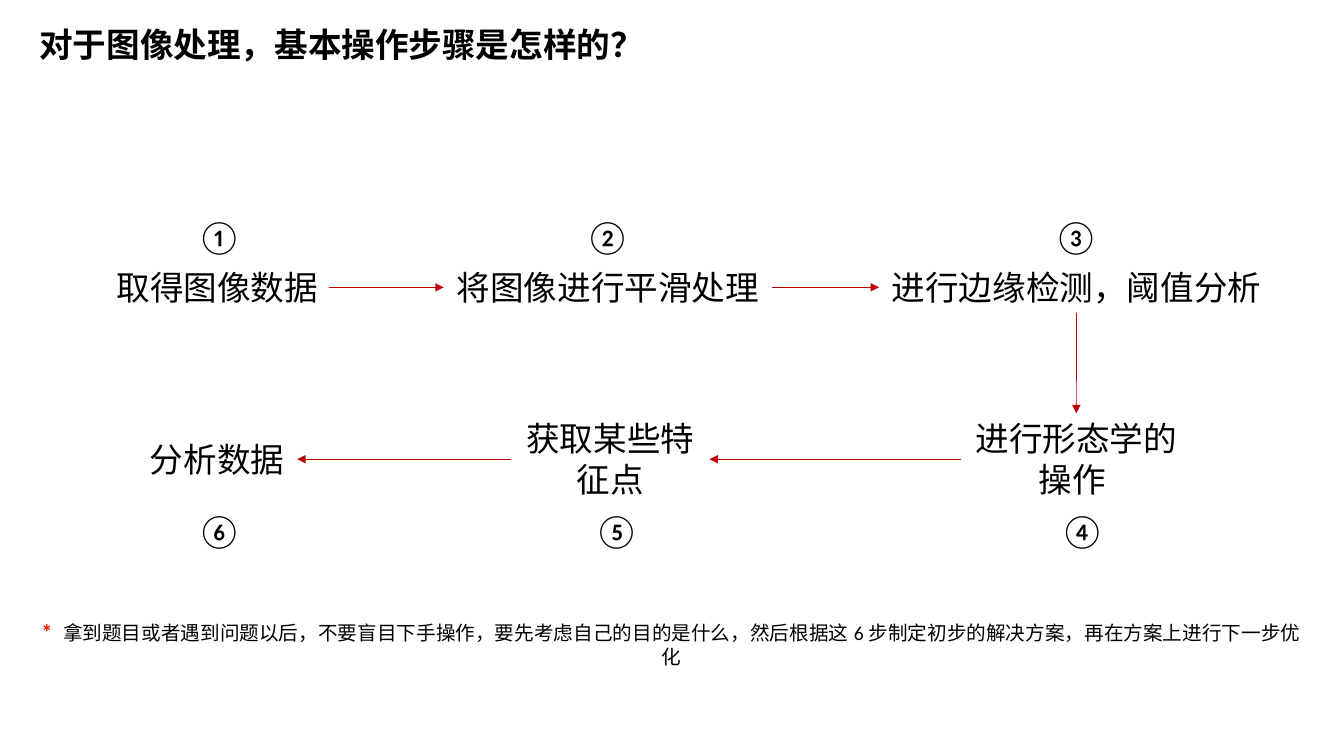
from lxml import etree
from pptx import Presentation
from pptx.dml.color import RGBColor
from pptx.enum.shapes import MSO_CONNECTOR
from pptx.enum.text import MSO_AUTO_SIZE, PP_ALIGN
from pptx.oxml.ns import qn
from pptx.util import Cm, Pt

STRAIGHT = MSO_CONNECTOR.STRAIGHT
GROW = MSO_AUTO_SIZE.SHAPE_TO_FIT_TEXT
LEFT, CENTER = PP_ALIGN.LEFT, PP_ALIGN.CENTER
BOTTOM_SIDE, LEFT_SIDE, RIGHT_SIDE, TOP_SIDE = 2, 1, 3, 0


def rgb(value):
    return RGBColor.from_string(value)


class FlowSlide:
    font, ink, arrow_color = "Calibri", "000000", "C00000"

    def __init__(self, prs):
        self.s = prs.slides.add_slide(prs.slide_layouts[6])

    def style(self, r, size, color=None, bold=False, font=None):
        r.font.size, r.font.bold = Pt(size), bold
        r.font.name = font or self.font
        r.font.color.rgb = rgb(color or self.ink)
        if font:
            ea = etree.SubElement(r.font._element, qn("a:ea"))
            ea.set("typeface", font)

    def text(self, box, runs, align=LEFT):
        """Add a text box; runs is a list of (text, style options)."""
        sp = self.s.shapes.add_textbox(*map(Cm, box))
        tf = sp.text_frame
        tf.word_wrap, tf.auto_size = True, GROW
        p = tf.paragraphs[0]
        p.alignment = align
        for words, options in runs:
            r = p.add_run()
            r.text = words
            self.style(r, **options)
        return sp

    def arrow(self, start, start_side, end, end_side):
        line = self.s.shapes.add_connector(STRAIGHT, 0, 0, 0, 0)
        line.begin_connect(start, start_side)
        line.end_connect(end, end_side)
        line.line.color.rgb = rgb(self.arrow_color)
        line.line.width = Pt(0.5)
        ln = line.line._get_or_add_ln()
        etree.SubElement(ln, qn("a:tailEnd")).set("type", "triangle")
        etree.SubElement(line._element.spPr, qn("a:effectLst"))


TOP_ROW, BOTTOM_ROW = 7.24, 11.57  # vertical centres of the two rows
TOP_NUMBERS, BOTTOM_NUMBERS = 5.31, 12.73
# text, left, width, height, row centre, number, number left, number top
STEPS = [
    ("取得图像数据", 2.69, 5.59, 1.27, TOP_ROW, "①", 4.72, TOP_NUMBERS),
    ("将图像进行平滑处理", 11.18, 8.28, 1.27, TOP_ROW, "②", 14.5, TOP_NUMBERS),
    ("进行边缘检测，阈值分析", 22.15, 9.96, 1.27, TOP_ROW, "③", 26.31, TOP_NUMBERS),
    ("进行形态学的操作 ", 24.23, 5.79, 2.31, BOTTOM_ROW, "④", 26.47, BOTTOM_NUMBERS),
    ("获取某些特征点", 12.88, 5, 2.31, BOTTOM_ROW, "⑤", 14.73, BOTTOM_NUMBERS),
    ("分析数据", 3.45, 4.04, 1.27, BOTTOM_ROW, "⑥", 4.72, BOTTOM_NUMBERS),
]
ARROW_SIDES = [
    (RIGHT_SIDE, LEFT_SIDE),
    (RIGHT_SIDE, LEFT_SIDE),
    (BOTTOM_SIDE, TOP_SIDE),
    (LEFT_SIDE, RIGHT_SIDE),
    (LEFT_SIDE, RIGHT_SIDE),
]


def main():
    prs = Presentation()
    prs.slide_width, prs.slide_height = Cm(33.87), Cm(19.05)
    slide = FlowSlide(prs)

    slide.text((0.74, 0.48, 23.37, 1.27), [
        ("对于图像处理，基本操作步骤是怎样的？",
         {"size": 24, "bold": True, "font": "Noto Sans CJK SC"}),
    ])

    boxes = []
    for i, (words, x, w, h, row, number, nx, ny) in enumerate(STEPS):
        align = CENTER if i else LEFT
        boxes.append(slide.text((x, row - h / 2, w, h), [(words, {"size": 24})], align))
        slide.text((nx, ny, 5.59, 1.27), [(number, {"size": 24})])

    for start, end, (start_side, end_side) in zip(boxes, boxes[1:], ARROW_SIDES):
        slide.arrow(start, start_side, end, end_side)

    slide.text((0.76, 15.44, 32.31, 0.94), [
        ("* ", {"size": 16, "color": "EF1807", "bold": True}),
        ("拿到题目或者遇到问题以后，不要盲目下手操作，要先考虑自己的目的是什么，"
         "然后根据这6步制定初步的解决方案，再在方案上进行下一步优化", {"size": 14}),
    ], CENTER)

    prs.save("out.pptx")


if __name__ == "__main__":
    main()
